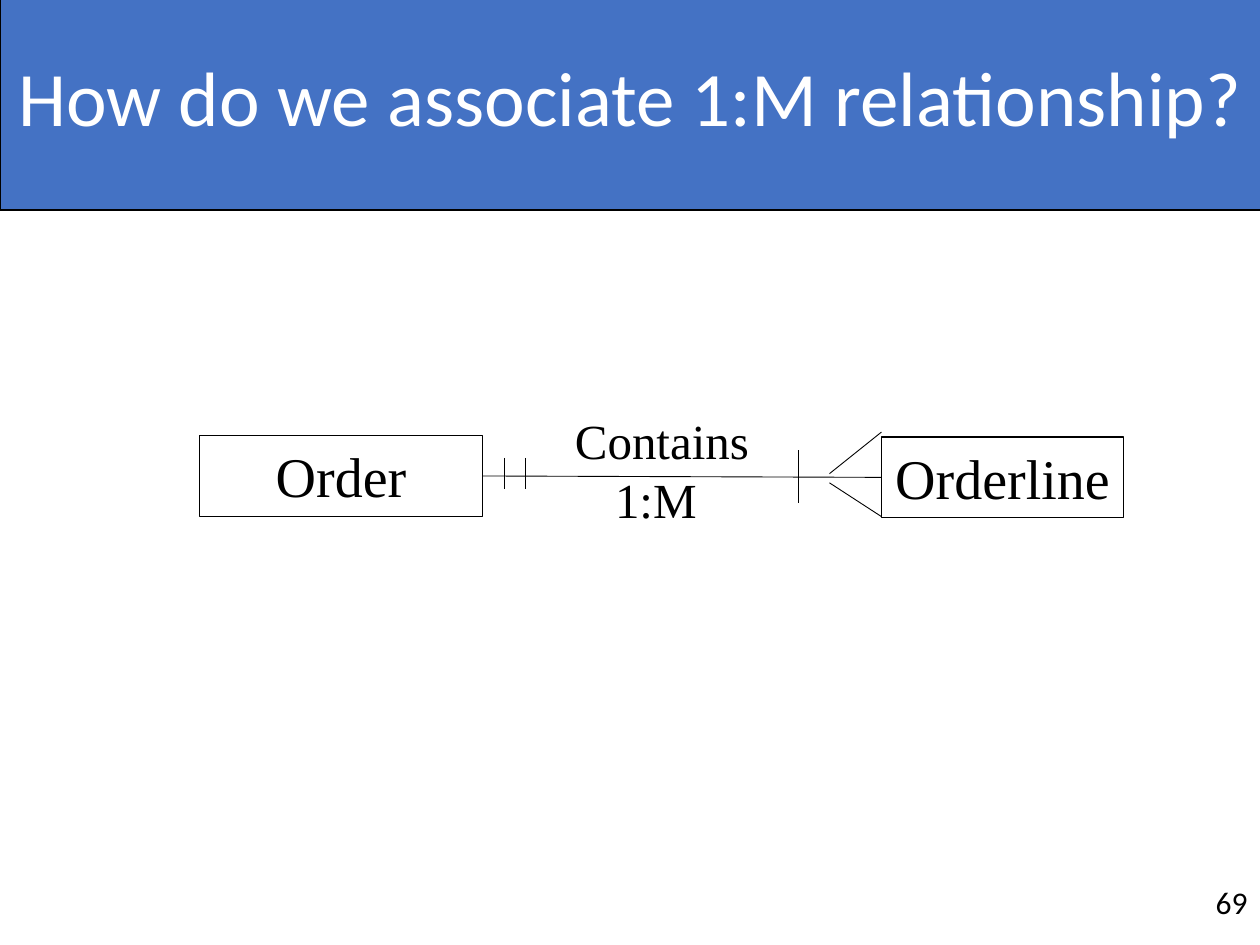
from pptx import Presentation
from pptx.dml.color import RGBColor
from pptx.enum.shapes import MSO_CONNECTOR, MSO_SHAPE
from pptx.enum.text import MSO_ANCHOR, PP_ALIGN
from pptx.oxml.ns import qn
from pptx.util import Pt
from lxml import etree

STRAIGHT, RECT = MSO_CONNECTOR.STRAIGHT, MSO_SHAPE.RECTANGLE
TOP, MIDDLE = MSO_ANCHOR.TOP, MSO_ANCHOR.MIDDLE
CENTER, RIGHT = PP_ALIGN.CENTER, PP_ALIGN.RIGHT

# Content: boxes are left, top, width, height in points
TITLE = ("How do we associate 1:M relationship?", (0, -3.6, 720.5, 123.6))
PAGE = ("69", (684, 496.8, 36, 37.4))
RELATION = (["Contains", "1:M "], (282, 231.2, 192.5, 75))
ENTITIES = [
    ("Order", (113.9, 249, 162, 46)),
    ("Orderline", (503.7, 249.8, 138.5, 46)),
]
LINES = [  # x1, y1, x2, y2
    (275.9, 272, 503.7, 272.8),  # relationship
    (474, 270.7, 503.7, 246.9),  # crow's foot, upper
    (474, 275.9, 503.7, 295.2),  # crow's foot, lower
    (288.2, 261.7, 288.2, 279.4),  # "one" ticks
    (300.1, 261.7, 300.1, 279.4),
    (456.1, 257.4, 456.1, 287.2),  # "at least one" tick
]
THEME = {
    "sans": "Calibri", "serif": "Times New Roman",
    "banner": RGBColor(0x44, 0x72, 0xC4),
    "white": RGBColor(255, 255, 255), "black": RGBColor(0, 0, 0),
    "title": 44, "entity": 32, "relation": 28, "page": 18,
    "border": 0.75, "link": 0.5,
}


def place(sp, box):
    sp.left, sp.top, sp.width, sp.height = map(Pt, box)


def write(sp, lines, font, size, color, align=CENTER, anchor=TOP):
    tf = sp.text_frame
    tf.word_wrap = True
    tf.vertical_anchor = anchor
    p = tf.paragraphs[0]
    p.alignment = align
    for i, line in enumerate(lines):
        if i:
            p.add_line_break()
        r = p.add_run()
        r.text = line
        r.font.name, r.font.size = THEME[font], Pt(THEME[size])
        r.font.color.rgb = THEME[color]
    return p


def outline(sp, width):
    sp.line.color.rgb = THEME["black"]
    sp.line.width = Pt(THEME[width])


prs = Presentation()
prs.slide_width, prs.slide_height = Pt(720), Pt(540)
s = prs.slides.add_slide(prs.slide_layouts[5])

# Title banner
title = s.shapes.title
place(title, TITLE[1])
title.fill.solid()
title.fill.fore_color.rgb = THEME["banner"]
outline(title, "border")
p = write(title, [TITLE[0]], "sans", "title", "white", anchor=MIDDLE)
p.line_spacing = 0.9

# Page number
page = s.shapes.add_textbox(*map(Pt, PAGE[1]))
write(page, [PAGE[0]], "sans", "page", "black", RIGHT, MIDDLE)

# Entities
for name, box in ENTITIES:
    sp = s.shapes.add_shape(RECT, *map(Pt, box))
    sp.shadow.inherit = False
    sp.fill.background()
    outline(sp, "border")
    write(sp, [name], "serif", "entity", "black")

# Relationship label
label = s.shapes.add_textbox(*map(Pt, RELATION[1]))
write(label, RELATION[0], "serif", "relation", "black")

# Relationship line, ticks and crow's foot
for ends in LINES:
    link = s.shapes.add_connector(STRAIGHT, *map(Pt, ends))
    outline(link, "link")
    etree.SubElement(link._element.spPr, qn("a:effectLst"))

prs.save("out.pptx")
